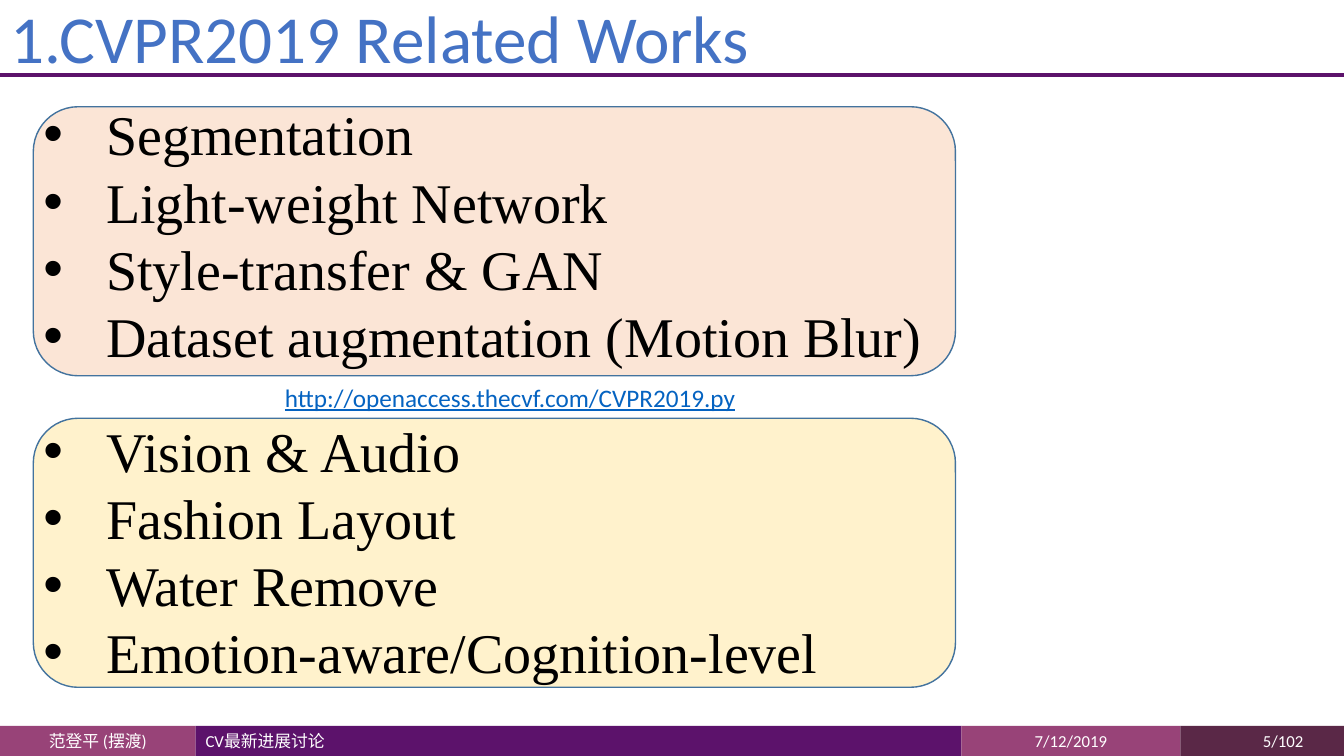
from lxml import etree
from pptx import Presentation
from pptx.dml.color import RGBColor
from pptx.enum import shapes as es, text as et
from pptx.oxml.ns import qn
from pptx.util import Cm, Pt


def rgb(code):
    return RGBColor.from_string(code)


def style(par, face, size, color):
    for run in par.runs:
        run.font.name = face
        run.font.size = Pt(size)
        run.font.color.rgb = rgb(color)


deck = Presentation()
deck.slide_width, deck.slide_height = Cm(33.87), Cm(19.05)
slide = deck.slides.add_slide(deck.slide_layouts[3])
items = slide.shapes
title, *lists = list(slide.placeholders)[:3]

# Footer bar: left, width, fill, text
top, high = Cm(18.29), Cm(0.76)
bars = [
    (0, 4.93, "984378", "范登平 (摆渡)", et.PP_ALIGN.CENTER),
    (4.93, 19.3, "5C126B", "CV最新进展讨论", et.PP_ALIGN.LEFT),
    (24.23, 5.52, "984378", "7/12/2019", et.PP_ALIGN.CENTER),
    (29.75, 4.12, "5A2847", "", et.PP_ALIGN.RIGHT),
    (30.66, 2.44, None, "5/102", et.PP_ALIGN.RIGHT),
]
for left, wide, fill, words, align in bars:
    if fill:
        bar = items.add_shape(es.MSO_SHAPE.RECTANGLE, Cm(left), top, Cm(wide), high)
        bar.shadow.inherit = False
        bar.fill.solid()
        bar.fill.fore_color.rgb = rgb(fill)
        bar.line.fill.background()
    else:
        bar = items.add_textbox(Cm(left), top, Cm(wide), high)
    if words:
        frame = bar.text_frame
        frame.word_wrap = True
        frame.vertical_anchor = et.MSO_ANCHOR.MIDDLE
        frame.text = words
        frame.paragraphs[0].alignment = align
        style(frame.paragraphs[0], "Calibri", 12, "FFFFFF")

# Title and its rule
rule = items.add_connector(es.MSO_CONNECTOR.STRAIGHT, 0, Cm(1.88), deck.slide_width, Cm(1.88))
rule.line.color.rgb = rgb("5C126B")
rule.line.width = Pt(3)
etree.SubElement(rule._element.spPr, qn("a:effectLst"))

title.left, title.top, title.width, title.height = 0, 0, Cm(31.01), Cm(1.85)
frame = title.text_frame
frame.text = "1.CVPR2019 Related Works"
frame.auto_size = et.MSO_AUTO_SIZE.NONE
frame.vertical_anchor = et.MSO_ANCHOR.TOP
head = frame.paragraphs[0]
head.alignment = et.PP_ALIGN.LEFT
head.line_spacing = 0.9
style(head, "Calibri", 48, "4472C4")

# Topic lists, each on a rounded panel
topics = [
    (2.69, 2.39, 30.18, "FBE5D6",
     ["Segmentation", "Light-weight Network", "Style-transfer & GAN",
      "Dataset augmentation (Motion Blur)"]),
    (10.54, 10.36, 24.21, "FFF2CC",
     ["Vision & Audio", "Fashion Layout", "Water Remove",
      "Emotion-aware/Cognition-level"]),
]
for body, (y, start, wide, fill, lines) in zip(lists, topics):
    panel = items.add_shape(es.MSO_SHAPE.ROUNDED_RECTANGLE, Cm(0.84), Cm(y), Cm(23.24), Cm(6.78))
    panel.shadow.inherit = False
    panel.fill.solid()
    panel.fill.fore_color.rgb = rgb(fill)
    panel.line.color.rgb = rgb("43739E")
    panel.line.width = Pt(1)

    items._spTree.append(body._element)  # bring the list above its panel
    body.left, body.top, body.width, body.height = Cm(0.84), Cm(start), Cm(wide), Cm(7.09)
    frame = body.text_frame
    frame.text = "\n".join(lines)
    frame.auto_size = et.MSO_AUTO_SIZE.NONE
    for par in frame.paragraphs:
        par.space_before = Pt(0)
        par.line_spacing = Pt(48)
        props = par._p.get_or_add_pPr()
        props.set("marL", str(Cm(1.58)))
        props.set("indent", str(-Cm(1.58)))
        etree.SubElement(props, qn("a:buFont"), typeface="Arial")
        etree.SubElement(props, qn("a:buChar"), char="•")
        style(par, "Times New Roman", 40, "000000")

# Web address between the panels
site = items.add_textbox(Cm(6.93), Cm(9.5), Cm(12.01), Cm(1.02)).text_frame
site.word_wrap = False
site.text = "http://openaccess.thecvf.com/CVPR2019.py"
style(site.paragraphs[0], "Calibri", 18, "0563C1")
site.paragraphs[0].runs[0].font.underline = True

deck.save("out.pptx")
